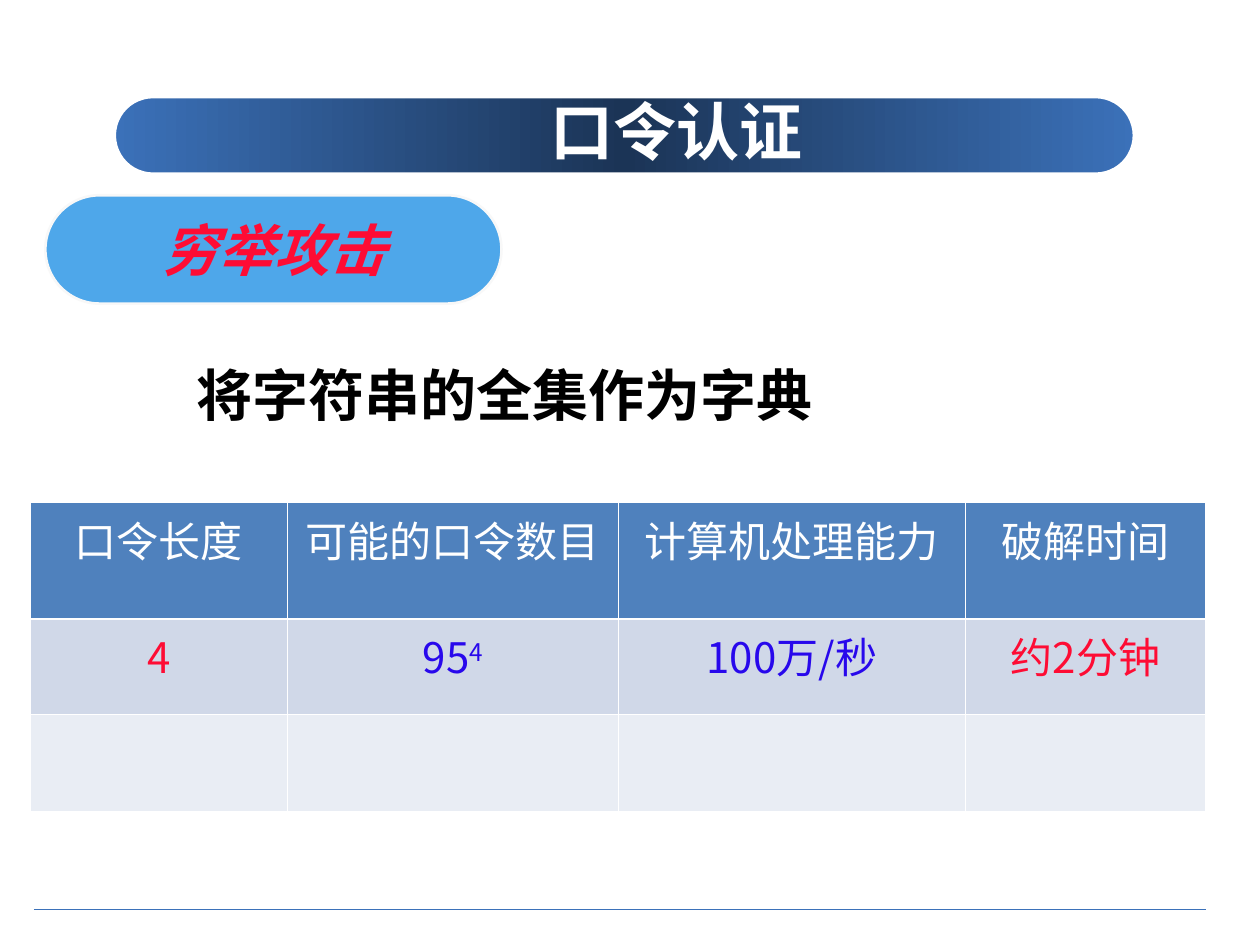
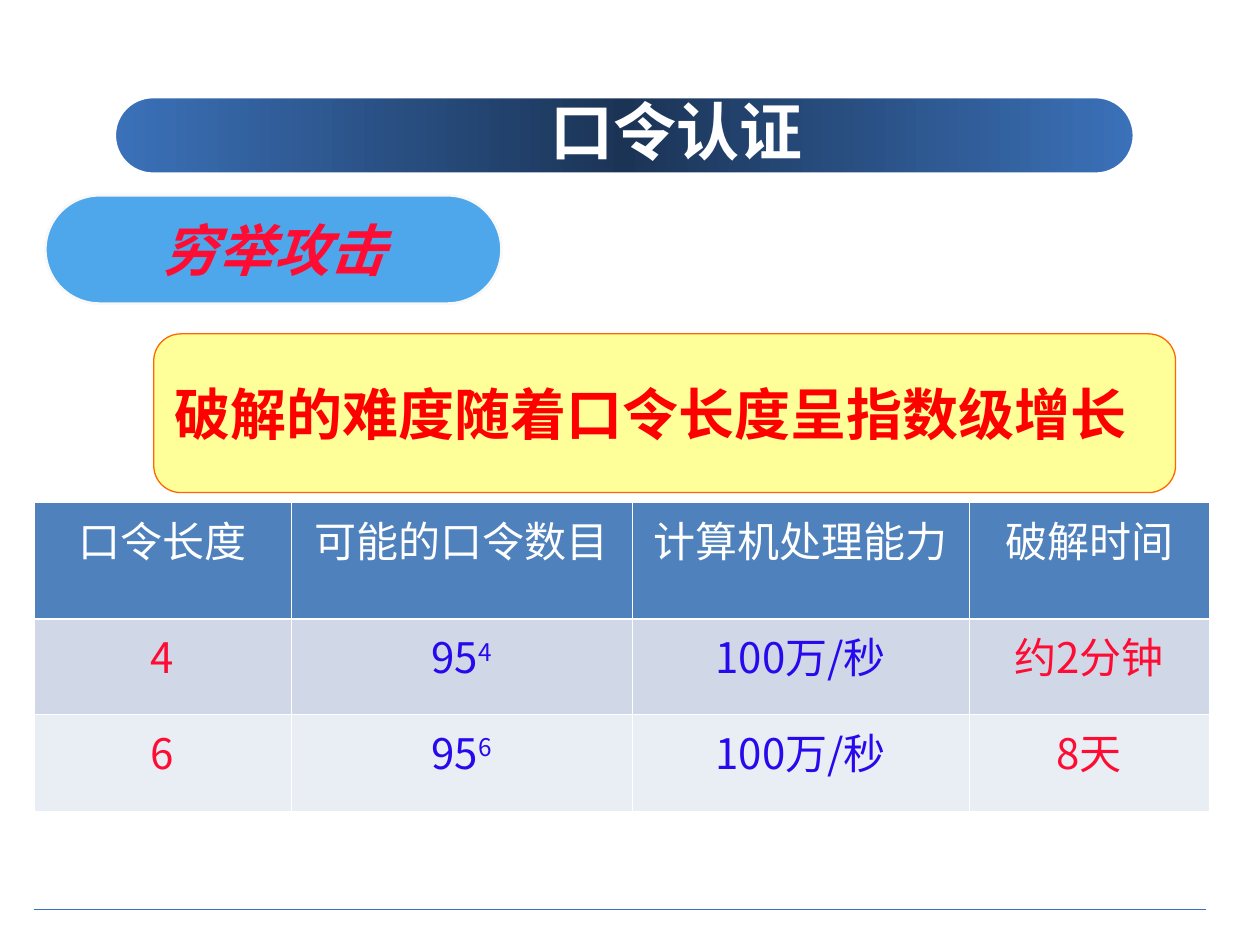
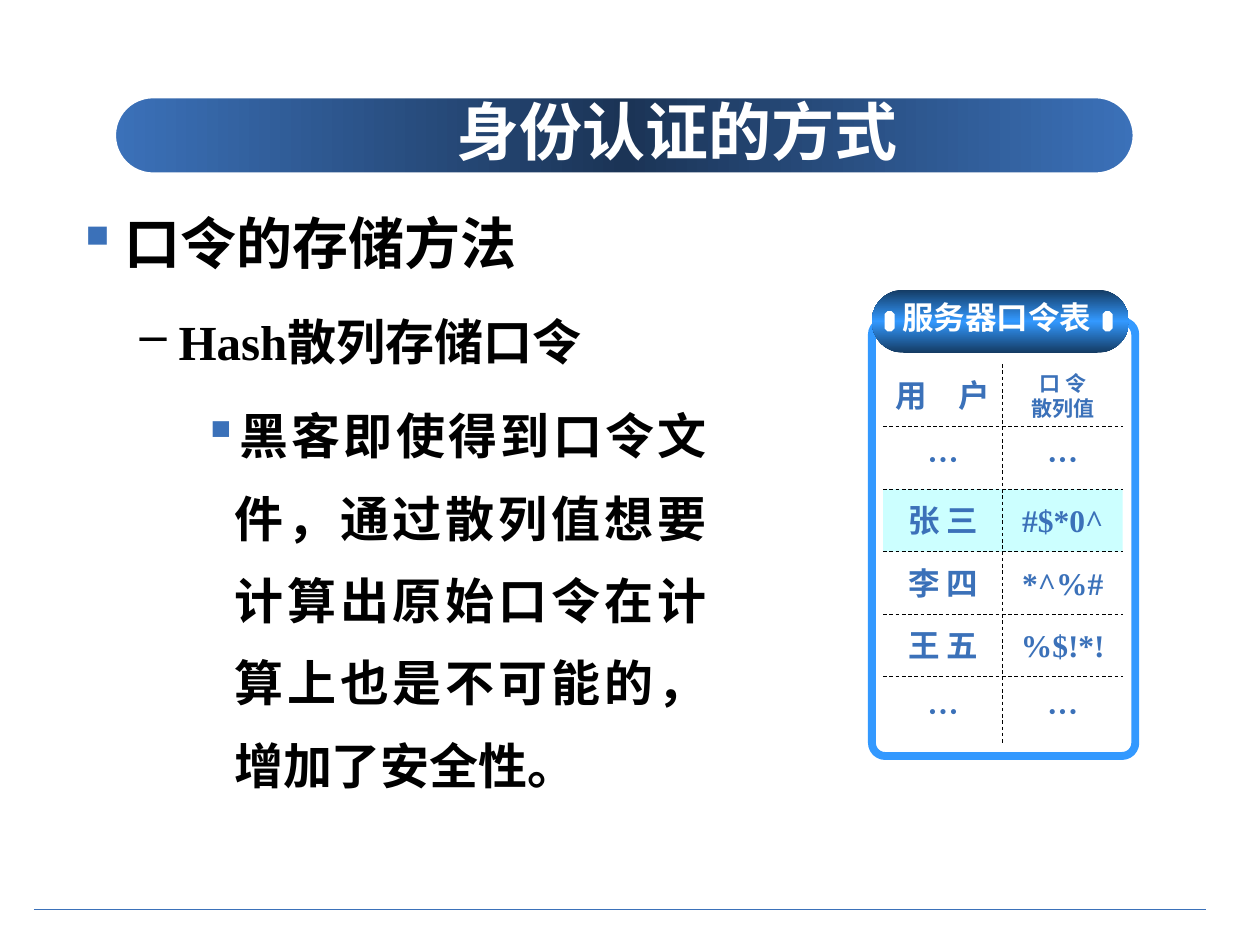
import copy

import lxml.etree
import pptx
import pptx.dml.color
import pptx.enum.dml
import pptx.enum.shapes
import pptx.enum.text
import pptx.oxml
import pptx.oxml.ns
import pptx.util

SHAPE = pptx.enum.shapes.MSO_SHAPE
ALIGN = pptx.enum.text.PP_ALIGN
ANCHOR = pptx.enum.text.MSO_ANCHOR

WIDTH, HEIGHT = pptx.util.Inches(10), pptx.util.Inches(7.5)
COLUMNS = 100
UNIT = WIDTH / COLUMNS

BLUE, NAVY, SKY = "3B71B9", "1B3456", "3399FF"
WHITE, BLACK = "FFFFFF", "000000"
CRIMSON, INDIGO = "FE0C34", "2808EC"
HEADER_FILL, ROW_FILLS = "4F81BD", ["D0D8E8", "E9EDF4"]
SANS, SERIF = "Noto Sans CJK SC", "Times New Roman"
TABLE_HEADINGS = ["口令长度", "可能的口令数目", "计算机处理能力", "破解时间"]
COLUMN_COLOURS = [CRIMSON, INDIGO, INDIGO, CRIMSON]


def grid(*lengths):
    return [round(length * UNIT) for length in lengths]


def colour(code):
    return pptx.dml.color.RGBColor.from_string(code)


def add_element(parent, tag, **attributes):
    child = lxml.etree.SubElement(parent, pptx.oxml.ns.qn(tag))
    for name, value in attributes.items():
        child.set(name, str(value))
    return child


def add_span(para, text, size, code, font=SANS, bold=True, italic=False, raised=False):
    span = para.add_run()
    span.text = text
    span.font.size = pptx.util.Pt(size)
    span.font.bold = bold
    span.font.italic = italic
    span.font.color.rgb = colour(code)
    span.font.name = font
    properties = span._r.get_or_add_rPr()
    add_element(properties, "a:ea", typeface=SANS)
    if raised:
        properties.set("baseline", "30000")


def write(box, lines, size, code, font=SANS, align=ALIGN.CENTER, anchor=ANCHOR.MIDDLE,
          side=1, wrap=True, italic=False):
    frame = box.text_frame
    frame.word_wrap = wrap
    frame.vertical_anchor = anchor
    frame.margin_left, frame.margin_right = grid(side, side)
    for index, line in enumerate(lines):
        para = frame.add_paragraph() if index else frame.paragraphs[0]
        para.alignment = align
        add_span(para, line, size, code, font, italic=italic)


def paint_gradient(shape, outer, inner, angle):
    shape.fill.gradient()
    shape.fill.gradient_angle = angle
    stop_list = shape._element.spPr.find(".//" + pptx.oxml.ns.qn("a:gsLst"))
    stop_list.append(copy.deepcopy(stop_list[0]))
    stops = zip(shape.fill.gradient_stops, [outer, inner, outer], [0, 0.5, 1])
    for stop, code, position in stops:
        stop.color.rgb = colour(code)
        stop.position = position


def add_box(shapes, kind, place, fill=None, line=None, weight=1, corner=None):
    box = shapes.add_shape(kind, *grid(*place))
    box.shadow.inherit = False
    if corner is not None:
        box.adjustments[0] = corner
    if fill:
        box.fill.solid()
        box.fill.fore_color.rgb = colour(fill)
    else:
        box.fill.background()
    if line:
        box.line.color.rgb = colour(line)
        box.line.width = pptx.util.Pt(weight)
    else:
        box.line.fill.background()
    return box


def add_rule(shapes, ends, code, weight, dashed=False):
    rule = shapes.add_connector(pptx.enum.shapes.MSO_CONNECTOR.STRAIGHT, *grid(*ends))
    rule.line.color.rgb = colour(code)
    rule.line.width = pptx.util.Pt(weight)
    if dashed:
        rule.line.dash_style = pptx.enum.dml.MSO_LINE.DASH
    add_element(rule._element.spPr, "a:effectLst")


def add_page(deck, title):
    page = deck.slides.add_slide(deck.slide_layouts[6])
    band = add_box(page.shapes, SHAPE.ROUNDED_RECTANGLE, (9, 7.6, 81.1, 6.3),
                   line=WHITE, weight=3, corner=0.5)
    paint_gradient(band, BLUE, NAVY, 0)
    add_rule(page.shapes, (2.7, 72.2, 95.7, 72.2), BLUE, 0.75)
    heading = page.shapes.add_textbox(*grid(14.1, 7.6, 79.2, 5.5))
    write(heading, [title], 36, WHITE)
    return page


def add_attack_label(page):
    pill = add_box(page.shapes, SHAPE.ROUNDED_RECTANGLE, (3.6, 15.5, 36.2, 8.6),
                   "4EA7EA", "F8F8F8", 1.5, 0.5)
    write(pill, ["穷举攻击"], 32, CRIMSON, "Lato", wrap=False, italic=True)


def attack_row(length, time):
    return [(length,), ("95", length), ("100万/秒",), (time,)]


def style_cell(cell, fill, top, bottom):
    cell.fill.solid()
    cell.fill.fore_color.rgb = colour(fill)
    properties = cell._tc.get_or_add_tcPr()
    edges = {"a:lnL": 0.45, "a:lnR": 0.45, "a:lnT": top, "a:lnB": bottom}
    for index, (tag, weight) in enumerate(edges.items()):
        edge = add_element(properties, tag, w=pptx.util.Pt(weight))
        add_element(add_element(edge, "a:solidFill"), "a:srgbClr", val=WHITE)
        properties.insert(index, edge)


def add_attack_table(page, left, widths, attacks):
    heights = [9.2, 7.6, 7.7]
    rows = [[(heading,) for heading in TABLE_HEADINGS]] + attacks
    table = page.shapes.add_table(
        len(heights), len(widths), *grid(left, 39.9, sum(widths), sum(heights))).table
    for column, width in zip(table.columns, grid(*widths)):
        column.width = width
    for row, height in zip(table.rows, grid(*heights)):
        row.height = height
    for r in range(len(heights)):
        for c in range(len(widths)):
            cell = table.cell(r, c)
            style_cell(cell, ROW_FILLS[r - 1] if r else HEADER_FILL,
                       1.47 if r == 1 else 0.45, 0.45 if r else 1.47)
            if r >= len(rows):
                continue
            para = cell.text_frame.paragraphs[0]
            para.alignment = ALIGN.CENTER
            for index, text in enumerate(rows[r][c]):
                add_span(para, text, 24, COLUMN_COLOURS[c] if r else WHITE,
                         SANS if r else "Calibri", bold=False, raised=index > 0)


def add_outline(page):
    items = [
        ("口令的存储方法", 32, SERIF, 3.8, 3.8, "▪", BLUE),
        ("Hash散列存储口令", 28, SERIF, 8.1, 3.1, "–", BLACK),
        ("黑客即使得到口令文件，通过散列值想要计算出原始口令在计算上也是不可能的，增加了安全性。",
         28, SANS, 12.5, 2.5, "▪", BLUE),
    ]
    frame = page.shapes.add_textbox(*grid(5.1, 13.9, 52, 56.7)).text_frame
    frame.word_wrap = True
    for level, (text, size, font, left, hang, bullet, code) in enumerate(items):
        para = frame.add_paragraph() if level else frame.paragraphs[0]
        properties = para._p.get_or_add_pPr()
        margin, indent = grid(left, -hang)
        properties.set("marL", str(margin))
        properties.set("indent", str(indent))
        add_element(add_element(properties, "a:buClr"), "a:srgbClr", val=code)
        add_element(properties, "a:buChar", char=bullet)
        para.level = level
        para.alignment = ALIGN.JUSTIFY
        para.line_spacing = 1.4
        if level:
            para.space_before = pptx.util.Pt(7)
        add_span(para, text, size, BLACK, font)


def add_password_panel(page):
    shapes = page.shapes.add_group_shape().shapes
    add_box(shapes, SHAPE.ROUNDED_RECTANGLE, (69.2, 25.5, 20.9, 34.5),
            line=SKY, weight=4.5, corner=0.05)
    cap = add_box(shapes, SHAPE.ROUNDED_RECTANGLE, (69.2, 23, 20.4, 5), corner=0.5)
    paint_gradient(cap, "143B63", SKY, 90)
    for left in (87.5, 70.2):
        add_box(shapes, SHAPE.OCTAGON, (left, 24.7, 0.8, 1.6), WHITE)
    caption = shapes.add_textbox(*grid(70.6, 23.2, 17, 4))
    write(caption, ["服务器口令表"], 18, WHITE, "Arial", anchor=ANCHOR.TOP, wrap=False)

    left, column, top = 70.1, 9.5, 28.9
    edges = [top + 24.8 * index / 5 for index in range(6)] + [59]
    entries = [("用　户", "口 令\n散列值"), ("···", "···"), ("张 三", "#$*0^"),
               ("李 四", "*^%#"), ("王 五", "%$!*!"), ("···", "···")]
    for r, entry in enumerate(entries):
        for c, text in enumerate(entry):
            place = (left + c * column, edges[r], column, edges[r + 1] - edges[r])
            if r == 2:
                box = add_box(shapes, SHAPE.RECTANGLE, place, "CCFFFF")
            else:
                box = shapes.add_textbox(*grid(*place))
            lines = text.split("\n")
            serif = text == "···" or (c and r)
            write(box, lines, 12 if len(lines) > 1 else 18, BLUE,
                  SERIF if serif else SANS, side=0)
    for edge in edges[1:-1]:
        add_rule(shapes, (left, edge, left + 2 * column, edge), BLACK, 0.5, True)
    middle = left + column
    add_rule(shapes, (middle, top, middle, edges[-1]), BLACK, 0.5, True)


def main():
    deck = pptx.Presentation()
    deck.slide_width, deck.slide_height = WIDTH, HEIGHT
    short, long = attack_row("4", "约2分钟"), attack_row("6", "8天")

    page = add_page(deck, "口令认证")
    add_attack_label(page)
    statement = page.shapes.add_textbox(*grid(14.6, 28.1, 72.4, 9.4))
    write(statement, ["将字符串的全集作为字典"], 32, BLACK,
          align=ALIGN.JUSTIFY, anchor=ANCHOR.TOP)
    add_attack_table(page, 2.4, [20.4, 26.3, 27.5, 19.1], [short])

    page = add_page(deck, "口令认证")
    add_attack_label(page)
    add_attack_table(page, 2.7, [20.4, 27.1, 26.7, 19.1], [short, long])
    conclusion = add_box(page.shapes, SHAPE.ROUNDED_RECTANGLE, (12.2, 26.5, 81.1, 12.6),
                         "FFFF99", "FF6600", 0.75, 0.17)
    write(conclusion, ["破解的难度随着口令长度呈指数级增长"], 32, "FF0000", SERIF,
          align=ALIGN.LEFT)

    page = add_page(deck, "身份认证的方式")
    add_outline(page)
    add_password_panel(page)

    deck.save("out.pptx")


if __name__ == "__main__":
    main()
